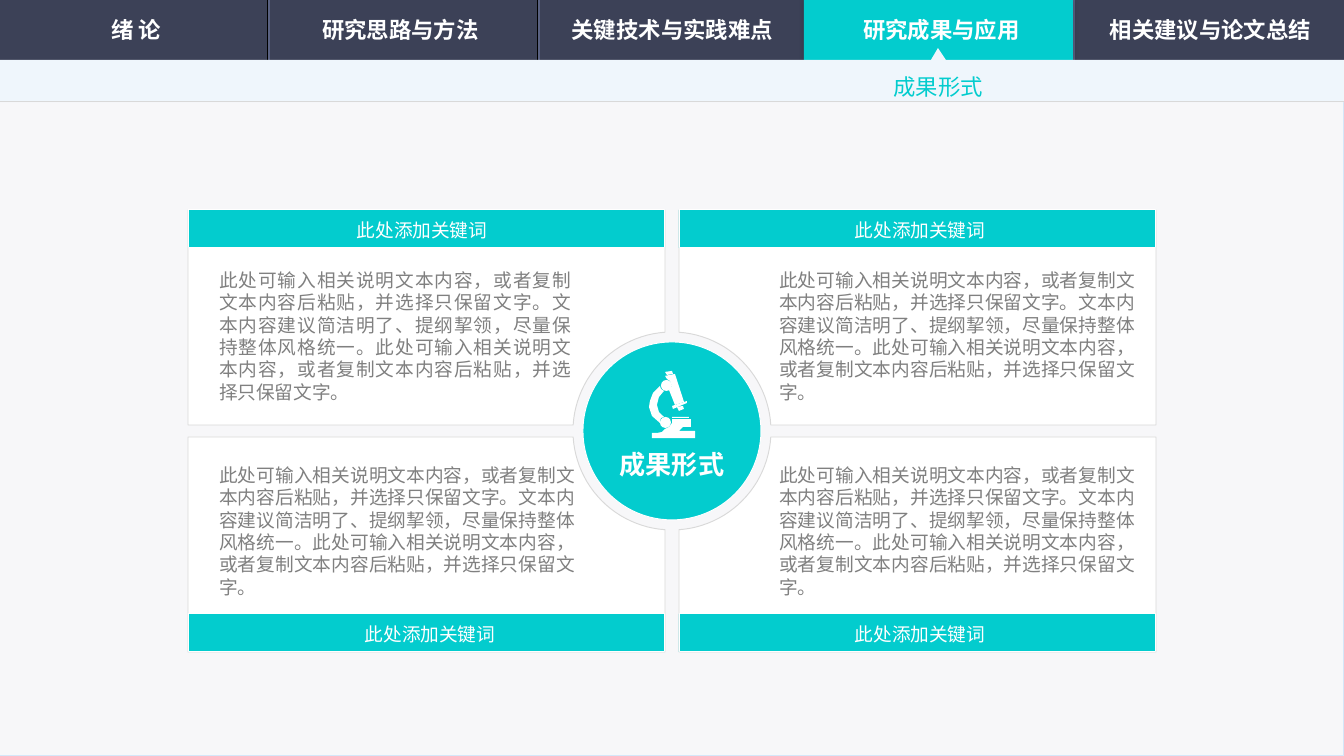
import math

import lxml.etree
import pptx
import pptx.dml.color
import pptx.enum.shapes
import pptx.enum.text
import pptx.oxml.ns
import pptx.util

PX = 914400 / 134.4
TEAL, NAVY, WHITE, PALE = "03CCCE", "3C4157", "FFFFFF", "EFF6FC"
PAGE, EDGE, GREY = "F7F7F9", "D9D9D9", "808080"
CJK = "Noto Sans CJK SC"
SHAPE = pptx.enum.shapes.MSO_SHAPE
ALIGN = pptx.enum.text.PP_ALIGN
ANCHOR = pptx.enum.text.MSO_ANCHOR

TABS = [("绪 论", 3), ("研究思路与方法", 267), ("关键技术与实践难点", 539),
        ("研究成果与应用", 808), ("相关建议与论文总结", 1077)]
TOPIC = "成果形式"
KEYWORD = "此处添加关键词"
DESCRIPTION = ("此处可输入相关说明文本内容，或者复制文本内容后粘贴，并选择只保留文字。"
               "文本内容建议简洁明了、提纲挈领，尽量保持整体风格统一。"
               "此处可输入相关说明文本内容，或者复制文本内容后粘贴，并选择只保留文字。")


def px(n):
    return pptx.util.Emu(round(n * PX))


def rgb(color):
    return pptx.dml.color.RGBColor.from_string(color)


def style(sp, fill, line=None):
    sp.shadow.inherit = False
    sp.fill.solid()
    sp.fill.fore_color.rgb = rgb(fill)
    if line:
        sp.line.color.rgb = rgb(line)
        sp.line.width = pptx.util.Pt(0.5)
    else:
        sp.line.fill.background()
    return sp


def add_preset(shapes, kind, x, y, w, h, fill, line=None):
    return style(shapes.add_shape(kind, px(x), px(y), px(w), px(h)), fill, line)


def add_polygon(shapes, x, y, points, fill, line=None):
    pts = [(px(x + dx), px(y + dy)) for dx, dy in points]
    fb = shapes.build_freeform(*pts[0], scale=1.0)
    fb.add_line_segments(pts[1:], close=True)
    return style(fb.convert_to_shape(), fill, line)


def add_rule(s, x1, y1, x2, y2, color, width=0.5):
    ln = s.shapes.add_connector(pptx.enum.shapes.MSO_CONNECTOR.STRAIGHT,
                                px(x1), px(y1), px(x2), px(y2))
    ln.line.color.rgb = rgb(color)
    ln.line.width = pptx.util.Pt(width)
    lxml.etree.SubElement(ln.element.spPr, pptx.oxml.ns.qn("a:effectLst"))


def set_text(sp, text, size, color, font=CJK, bold=False, align=ALIGN.CENTER,
             anchor=ANCHOR.MIDDLE, wrap=True):
    tf = sp.text_frame
    tf.text = text
    tf.word_wrap = wrap
    tf.auto_size = pptx.enum.text.MSO_AUTO_SIZE.NONE
    tf.vertical_anchor = anchor
    p = tf.paragraphs[0]
    p.alignment = align
    r = p.runs[0]
    r.font.size = pptx.util.Pt(size)
    r.font.bold = bold
    r.font.color.rgb = rgb(color)
    r.font.name = font
    ea = lxml.etree.SubElement(r.font._element, pptx.oxml.ns.qn("a:ea"))
    ea.set("typeface", CJK)
    return p


def add_text(s, x, y, w, h, *args, **kwargs):
    sp = s.shapes.add_textbox(px(x), px(y), px(w), px(h))
    set_text(sp, *args, **kwargs)


def add_soft_shadow(sp):
    effects = sp.element.spPr.find(pptx.oxml.ns.qn("a:effectLst"))
    effects.append(pptx.oxml.parse_xml(
        f'<a:outerShdw {pptx.oxml.ns.nsdecls("a")} blurRad="38100" dist="0" dir="16200000">'
        '<a:srgbClr val="000000"><a:alpha val="20000"/></a:srgbClr></a:outerShdw>'))


def add_navigation(s, x, y, w, h):
    add_preset(s.shapes, SHAPE.RECTANGLE, x, y, w, h, NAVY)
    # Two-tone separators between the tabs
    for sep in (268, 538, 805, 1073):
        add_rule(s, x + sep, y, x + sep, y + h, "000000")
        add_rule(s, x + sep + 1, y, x + sep + 1, y + h, "596181", 0.75)
    active = add_preset(s.shapes, SHAPE.RECTANGLE, x + 804, y, 269, h, TEAL)
    add_soft_shadow(active)
    for label, left in TABS:
        add_text(s, x + left, y + 9, 267, 42, label, 12, WHITE, bold=True)


def add_subtitle_band(s, x, y, w, h):
    # The pointer rises into the active tab
    outline = [(938, -12), (946, 0), (w, 0), (w, h), (0, h), (0, 0), (931, 0)]
    add_polygon(s.shapes, x, y, outline, PALE)
    add_rule(s, x, y + h, x + w, y + h, EDGE)
    title = s.shapes.title
    title.left, title.top, title.width, title.height = px(x + 880), px(y - 5), px(118), px(50)
    p = set_text(title, TOPIC, 12, TEAL, align=ALIGN.LEFT, wrap=False)
    p.line_spacing = 1.5


def add_panel(s, cx, cy, sx, sy, label_x, text_x, text_w):
    """A card in one quadrant around (cx, cy), its inner corner cut by an arc."""
    gap_x, gap_y, far_x, far_y, radius, bar_h = 7, 6, 484, 221, 99, 38
    start, end = math.asin(gap_y / radius), math.acos(gap_x / radius)
    steps = 24
    angles = [start + (end - start) * i / steps for i in range(steps + 1)]
    outline = [(radius * math.cos(a), radius * math.sin(a)) for a in angles]
    outline += [(gap_x, far_y), (far_x, far_y), (far_x, gap_y)]
    add_polygon(s.shapes, cx, cy, [(sx * dx, sy * dy) for dx, dy in outline], WHITE, EDGE)
    # Keyword bar on the outer edge
    bar_x = cx + (gap_x if sx > 0 else -far_x)
    bar_y = cy + (far_y - bar_h if sy > 0 else -far_y)
    add_preset(s.shapes, SHAPE.RECTANGLE, bar_x, bar_y, far_x - gap_x, bar_h, TEAL, WHITE)
    add_text(s, cx + label_x, bar_y, 160, bar_h + 2, KEYWORD, 10, WHITE, wrap=False)
    add_text(s, cx + text_x, cy + (26 if sy > 0 else -169), text_w, 149, DESCRIPTION, 10, GREY,
             font="Arial", align=ALIGN.JUSTIFY, anchor=ANCHOR.TOP)


def add_microscope(s, x, y):
    shapes = s.shapes.add_group_shape().shapes
    eyepiece = [(16, 1), (18, 4), (24, 3), (23, 0)]
    tube = [(26, 3), (16, 5), (18, 8), (21, 10), (23, 15), (20, 19), (26, 34), (35, 31)]
    nozzle = [(28, 36), (30, 40), (35, 38), (34, 35)]
    collar = [(38, 32), (24, 38), (23, 35), (38, 30)]
    arm = [(11, 52), (11, 50), (12, 47), (15, 46), (10, 41), (8, 34), (10, 26), (15, 20),
           (12, 18), (11, 15), (4, 22), (1, 30), (0, 36), (3, 45)]
    base = [(30, 60), (34, 56), (42, 56), (42, 48), (23, 48), (23, 52), (20, 56), (16, 58),
            (13, 61), (8, 62), (3, 62), (3, 67), (46, 67), (46, 60)]
    for outline in (eyepiece, tube, nozzle, collar, arm, base):
        add_polygon(shapes, x, y, outline, WHITE)
    add_preset(shapes, SHAPE.RECTANGLE, x + 23, y + 46, 17, 1, WHITE)
    for dx, dy in ((12, 9), (11, 46)):
        add_preset(shapes, SHAPE.OVAL, x + dx, y + dy, 11, 11, WHITE)


def add_hub(s, cx, cy, radius):
    add_preset(s.shapes, SHAPE.OVAL, cx - radius, cy - radius, 2 * radius, 2 * radius, TEAL, WHITE)
    add_microscope(s, cx - 23, cy - 60)
    add_text(s, cx - 67, cy + 10, 134, 46, TOPIC, 14, WHITE, font="Calibri", bold=True, wrap=False)


def main():
    prs = pptx.Presentation()
    prs.slide_width, prs.slide_height = px(1344), px(756)
    s = prs.slides.add_slide(prs.slide_layouts[5])

    # Page and header
    add_preset(s.shapes, SHAPE.RECTANGLE, 0, 60, 1344, 696, PAGE, "D4E7F9")
    add_navigation(s, 0, 0, 1344, 60)
    add_subtitle_band(s, 0, 60, 1344, 42)

    # Four cards around the central hub
    cx, cy = 672, 431
    add_panel(s, cx, cy, -1, 1, -322, -466, 382)
    add_panel(s, cx, cy, 1, 1, 168, 94, 382)
    add_panel(s, cx, cy, -1, -1, -330, -466, 378)
    add_panel(s, cx, cy, 1, -1, 168, 94, 382)
    add_hub(s, cx, cy, 89)

    # The title sits above the band
    s.shapes._spTree.append(s.shapes.title.element)
    prs.save("out.pptx")


if __name__ == "__main__":
    main()
